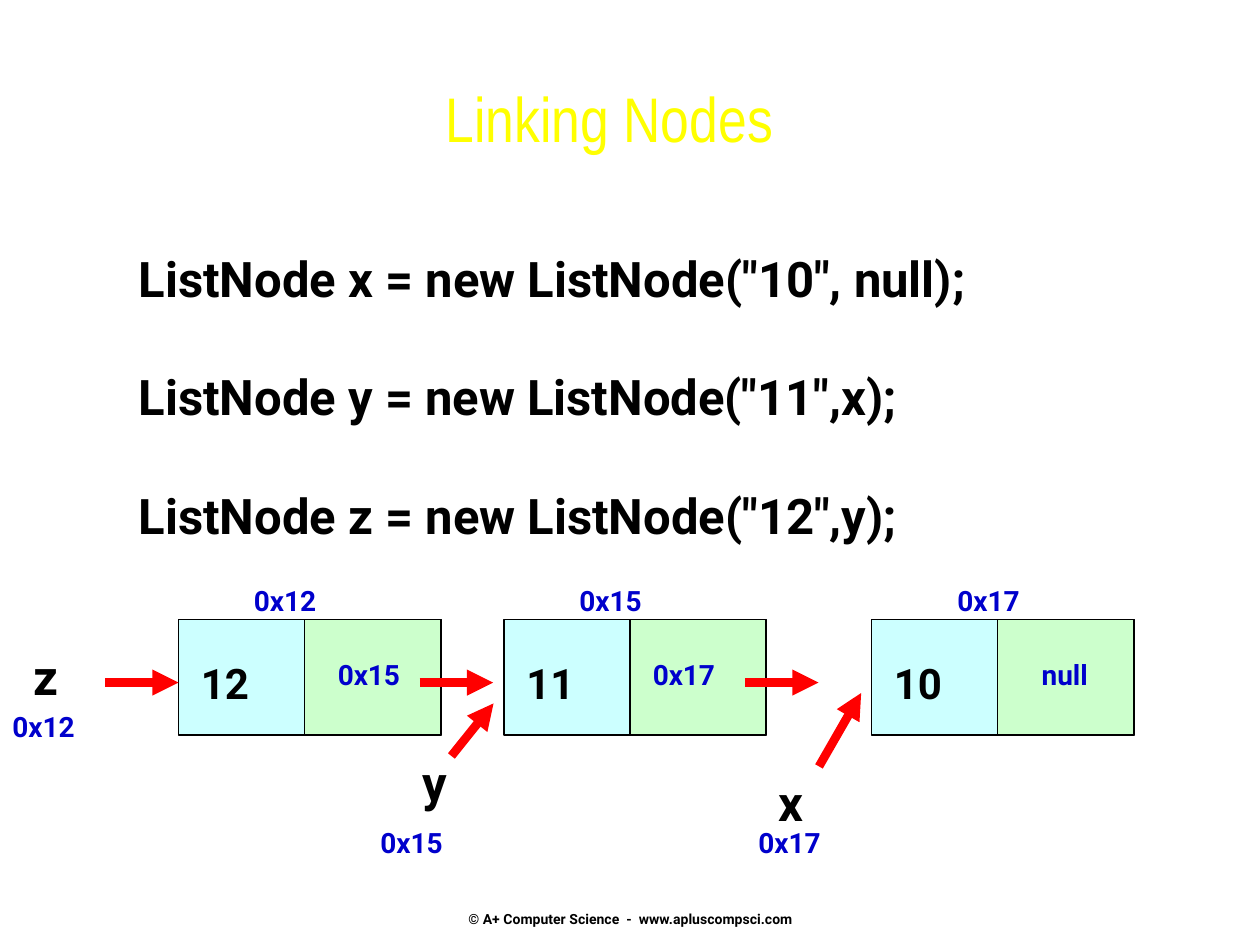
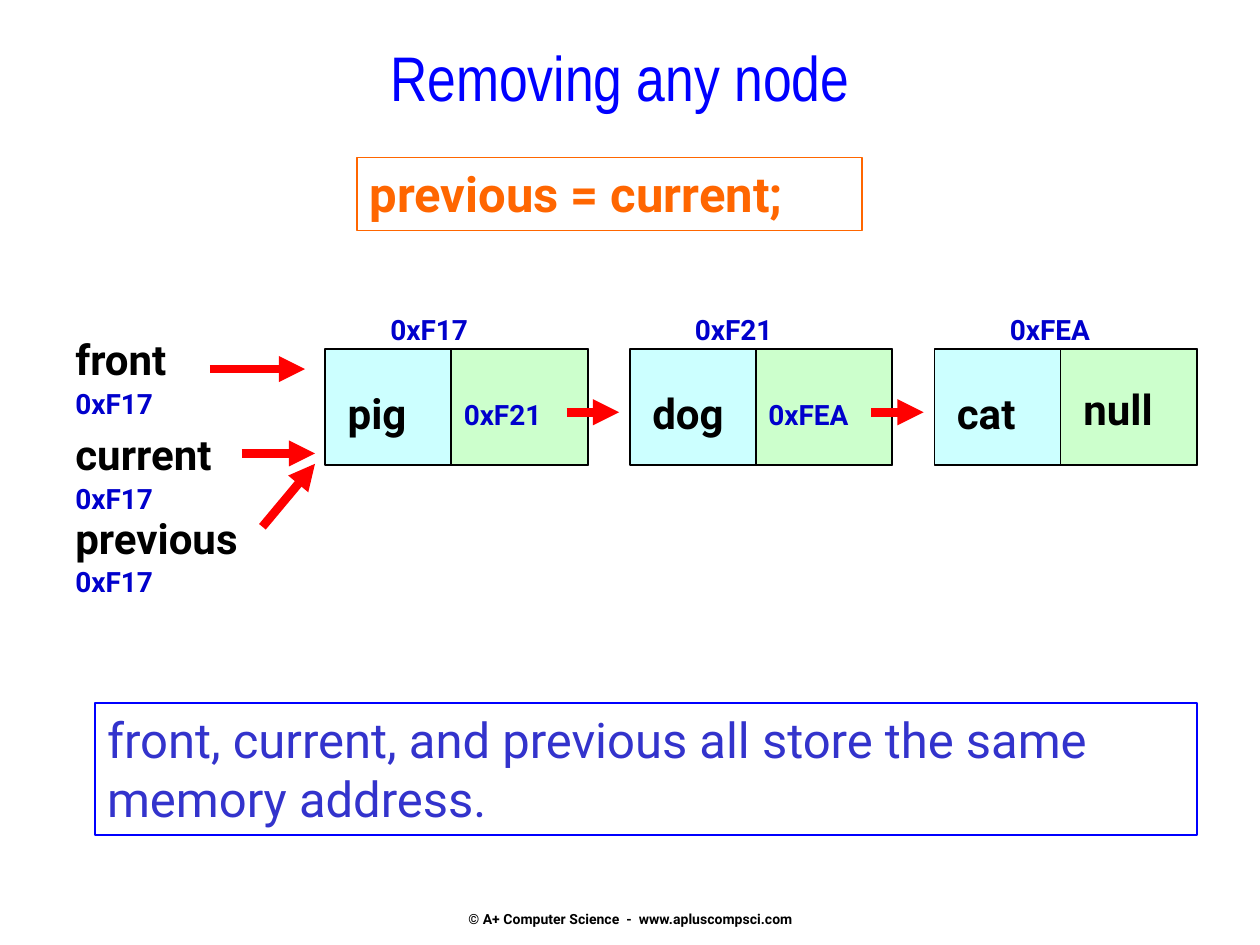
"""Build two slides on linking and removing the nodes of a list."""
from dataclasses import dataclass

from lxml import etree
from pptx import Presentation
from pptx import util as u
from pptx.dml.color import RGBColor
from pptx.enum import shapes, text
from pptx.oxml import ns

BLACK = RGBColor(0x00, 0x00, 0x00)
YELLOW = RGBColor(0xFF, 0xFF, 0x00)
BLUE = RGBColor(0x00, 0x00, 0xFF)
ADDRESS_BLUE = RGBColor(0x00, 0x00, 0xCC)
NOTE_BLUE = RGBColor(0x33, 0x33, 0xCC)
ORANGE = RGBColor(0xFF, 0x66, 0x00)
RED = RGBColor(0xFF, 0x00, 0x00)
VALUE_CELL = RGBColor(0xCC, 0xFF, 0xFF)
LINK_CELL = RGBColor(0xCC, 0xFF, 0xCC)

BODY_FONT = "Roboto"
TITLE_FONT = "Arial Narrow"
FOOTER = "© A+ Computer Science  -  www.apluscompsci.com"

NODE_WIDTH, NODE_HEIGHT, VALUE_WIDTH = 5.29, 2.33, 2.54
ADDRESS_WIDTH, ADDRESS_SIZE = 2.75, 16


@dataclass(frozen=True)
class Label:
    """A piece of text placed on the slide, in centimetres."""
    words: str
    left: float
    top: float
    width: float = ADDRESS_WIDTH
    size: int = ADDRESS_SIZE
    color: RGBColor = ADDRESS_BLUE


@dataclass(frozen=True)
class Node:
    """A list node; the address and link shifts count from its left edge."""
    value: str
    left: float
    address: str
    address_shift: float
    link: Label


@dataclass(frozen=True)
class Arrow:
    """A red arrow between two points, in centimetres."""
    x1: float
    y1: float
    x2: float
    y2: float


def write(frame, *lines: str, size: int, color: RGBColor, font: str = BODY_FONT,
          bold: bool = True, wrap: bool = True, gap: float = 0,
          align=text.PP_ALIGN.LEFT, anchor=text.MSO_ANCHOR.TOP) -> None:
    """Fill a text frame with formatted, unbulleted paragraphs."""
    frame.auto_size = text.MSO_AUTO_SIZE.NONE
    frame.word_wrap = wrap
    frame.vertical_anchor = anchor
    for index, line in enumerate(lines):
        paragraph = frame.add_paragraph() if index else frame.paragraphs[0]
        properties = paragraph._p.get_or_add_pPr()
        properties.set("marL", "0")
        properties.set("indent", "0")
        etree.SubElement(properties, ns.qn("a:buNone"))
        paragraph.text = line
        paragraph.alignment = align
        paragraph.space_before = u.Cm(gap if index else 0)
        style = paragraph.font
        style.name, style.size, style.bold = font, u.Pt(size), bold
        style.color.rgb = color


def place(shape, left: float, top: float, width: float, height: float) -> None:
    """Move and size a placeholder."""
    shape.left, shape.top = u.Cm(left), u.Cm(top)
    shape.width, shape.height = u.Cm(width), u.Cm(height)


def add_label(slide, label: Label) -> None:
    """Add a one-line label whose height follows its text size."""
    box = slide.shapes.add_textbox(u.Cm(label.left), u.Cm(label.top), u.Cm(label.width),
                                   u.Cm(label.size * 0.0423 + 0.25))
    write(box.text_frame, label.words, size=label.size, color=label.color)


def add_box(slide, left: float, top: float, width: float, height: float,
            line: RGBColor = BLACK, fill: RGBColor | None = None, weight: float = 1):
    """Add an outlined rectangle, filled when a colour is given."""
    box = slide.shapes.add_shape(shapes.MSO_SHAPE.RECTANGLE, u.Cm(left), u.Cm(top),
                                 u.Cm(width), u.Cm(height))
    box.shadow.inherit = False
    if fill is None:
        box.fill.background()
    else:
        box.fill.solid()
        box.fill.fore_color.rgb = fill
    box.line.color.rgb = line
    box.line.width = u.Pt(weight)
    return box


def add_arrow(slide, arrow: Arrow) -> None:
    """Add a thick red line with an arrowhead at its end."""
    connector = slide.shapes.add_connector(
        shapes.MSO_CONNECTOR.STRAIGHT, u.Cm(arrow.x1), u.Cm(arrow.y1),
        u.Cm(arrow.x2), u.Cm(arrow.y2))
    connector.line.color.rgb = RED
    connector.line.width = u.Pt(5)
    properties = connector._element.spPr
    etree.SubElement(properties.find(ns.qn("a:ln")), ns.qn("a:tailEnd"), type="triangle")
    etree.SubElement(properties, ns.qn("a:effectLst"))


def add_chain(slide, nodes: list[Node], top: float, arrow_length: float) -> None:
    """Draw the nodes in a row, each but the last pointing to the next."""
    for node in nodes:
        add_box(slide, node.left, top, NODE_WIDTH, NODE_HEIGHT, fill=VALUE_CELL)
        add_box(slide, node.left + VALUE_WIDTH, top, NODE_WIDTH - VALUE_WIDTH,
                NODE_HEIGHT, fill=LINK_CELL)
        add_label(slide, Label(node.value, node.left + 0.2, top + 0.64, 2.34, 24, BLACK))
        add_label(slide, Label(node.address, node.left + node.address_shift, top - 0.86))
        link = node.link
        add_label(slide, Label(link.words, node.left + link.left, top + link.top,
                               link.width, link.size, link.color))
    for node in nodes[:-1]:
        start, middle = node.left + 4.86, top + 1.27
        add_arrow(slide, Arrow(start, middle, start + arrow_length, middle))


def add_pointers(slide, labels: list[Label], arrows: list[Arrow]) -> None:
    """Draw the variables that refer to nodes."""
    for label in labels:
        add_label(slide, label)
    for arrow in arrows:
        add_arrow(slide, arrow)


def start_slide(deck, layout: int, title: str, color: RGBColor,
                area: tuple[float, float, float, float]):
    """Add a slide with its title and the shared footer."""
    slide = deck.slides.add_slide(deck.slide_layouts[layout])
    place(slide.shapes.title, *area)
    write(slide.shapes.title.text_frame, title, size=36, color=color, font=TITLE_FONT,
          bold=False, wrap=False, align=text.PP_ALIGN.CENTER)
    footer = slide.shapes.add_textbox(u.Cm(8.69), u.Cm(18.17), u.Cm(8.05), u.Cm(0.7))
    write(footer.text_frame, FOOTER, size=8, color=BLACK, wrap=False,
          align=text.PP_ALIGN.CENTER, anchor=text.MSO_ANCHOR.MIDDLE)
    return slide


def build_linking(deck) -> None:
    """Build the slide that links three nodes."""
    slide = start_slide(deck, 1, "Linking Nodes", YELLOW, (2.34, 1.47, 19.89, 2.34))
    code = slide.placeholders[1]
    place(code, 2.54, 4.88, 19.84, 6.2)
    write(code.text_frame,
          'ListNode x = new ListNode("10", null);',
          'ListNode y = new ListNode("11",x);',
          'ListNode z = new ListNode("12",y);',
          size=28, color=BLACK, wrap=False, gap=1.2)
    add_chain(slide, [
        Node("12", 3.6, "0x12", 1.27, Label("0x15", 2.96, 0.64)),
        Node("11", 10.16, "0x15", 1.27, Label("0x17", 2.75, 0.64)),
        Node("10", 17.57, "0x17", 1.48, Label("null", 3.18, 0.64, 1.85)),
    ], top=12.49, arrow_length=1.48)
    add_pointers(slide, [
        Label("z", 0.42, 12.91, 4, 28, BLACK), Label("0x12", 0, 14.18),
        Label("y", 8.26, 15.04, 4, 28, BLACK), Label("0x15", 7.42, 16.51),
        Label("x", 15.45, 15.45, 4, 28, BLACK), Label("0x17", 15.04, 16.51),
    ], [
        Arrow(2.12, 13.76, 3.6, 13.76),
        Arrow(9.1, 15.24, 9.95, 14.18),
        Arrow(16.51, 15.45, 17.36, 13.97),
    ])


def build_removing(deck) -> None:
    """Build the slide that starts a removal."""
    slide = start_slide(deck, 5, "Removing any node", BLUE, (6.78, 0.64, 11.43, 1.47))
    statement = add_box(slide, 7.2, 3.18, 10.18, 1.47, line=ORANGE, weight=0.75)
    write(statement.text_frame, "previous = current;", size=28, color=ORANGE)
    note = add_box(slide, 1.91, 14.18, 22.22, 2.66, line=BLUE)
    write(note.text_frame, "front, current, and previous all store the same memory address.",
          size=28, color=NOTE_BLUE, bold=False)
    add_chain(slide, [
        Node("pig", 6.56, "0xF17", 1.06, Label("0xF21", 2.54, 0.84)),
        Node("dog", 12.7, "0xF21", 1.06, Label("0xFEA", 2.54, 0.84)),
        Node("cat", 18.84, "0xFEA", 1.27, Label("null", 2.75, 0.56, 2.75, 24, BLACK)),
    ], top=7.04, arrow_length=1.06)
    add_pointers(slide, [
        Label("front", 1.27, 6.6, 2.97, 24, BLACK), Label("0xF17", 1.27, 7.67),
        Label("current", 1.27, 8.51, 3.81, 24, BLACK), Label("0xF17", 1.27, 9.58),
        Label("previous", 1.27, 10.21, 4.45, 24, BLACK), Label("0xF17", 1.27, 11.25),
    ], [
        Arrow(4.23, 7.44, 6.15, 7.44),
        Arrow(4.87, 9.14, 6.35, 9.14),
        Arrow(5.29, 10.62, 6.35, 9.35),
    ])


def main() -> None:
    """Build and save the deck."""
    deck = Presentation()
    deck.slide_width, deck.slide_height = u.Cm(25.4), u.Cm(19.05)
    build_linking(deck)
    build_removing(deck)
    deck.save("out.pptx")


if __name__ == "__main__":
    main()
